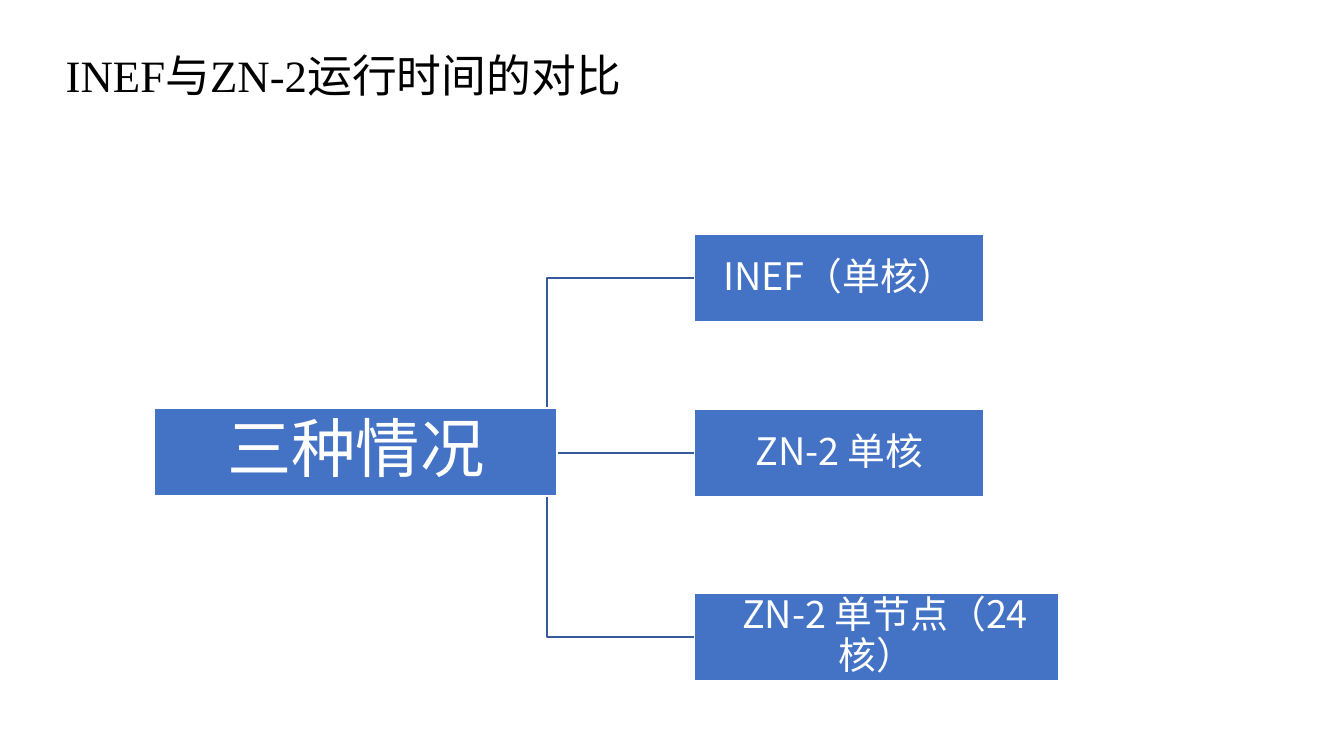
from lxml import etree
from pptx import Presentation
from pptx.dml.color import RGBColor
from pptx.enum import shapes, text
from pptx.oxml.ns import qn
from pptx.util import Cm, Pt

BLUE = RGBColor(0x44, 0x72, 0xC4)
DARK_BLUE = RGBColor(0x36, 0x5B, 0x9D)
WHITE = RGBColor(0xFF, 0xFF, 0xFF)
BLACK = RGBColor(0, 0, 0)
CJK_FONT = "Noto Sans CJK SC"

BOX_HEIGHT = 2.22
ROOT_LEFT, ROOT_TOP, ROOT_WIDTH = 3.89, 10.28, 10.15
BRANCH_LEFT = 17.51
TRUNK_START, TRUNK_TURN = 10.06, 13.79

# label, top, width, first-line indent (cm)
BRANCHES = [
    ("INEF（单核）", 5.9, 7.29, 0),
    ("ZN-2 单核", 10.31, 7.29, 0),
    ("ZN-2 单节点（24核）", 14.94, 9.17, 0.42),
]


def set_text(frame, wording, latin, size, color, frame_format, line_format):
    """Write one paragraph with Latin and East Asian fonts."""
    for name, value in frame_format.items():
        setattr(frame, name, value)
    line = frame.paragraphs[0]
    for name, value in line_format.items():
        setattr(line, name, value)
    run = line.add_run()
    run.text = wording
    for name, value in {"name": latin, "size": Pt(size), "bold": False}.items():
        setattr(run.font, name, value)
    run.font.color.rgb = color
    east_asian = etree.Element(qn("a:ea"), typeface=CJK_FONT)
    run.font._element.find(qn("a:latin")).addnext(east_asian)
    return line


def add_box(wording, left, top, width, size, inset):
    box = slide.shapes.add_shape(
        shapes.MSO_SHAPE.RECTANGLE, Cm(left), Cm(top), Cm(width), Cm(BOX_HEIGHT))
    box.shadow.inherit = False
    box.fill.solid()
    box.fill.fore_color.rgb = BLUE
    box.line.color.rgb = WHITE
    box.line.width = Pt(1)
    sides = ("margin_left", "margin_top", "margin_right", "margin_bottom")
    frame_format = dict.fromkeys(sides, Cm(inset))
    frame_format |= {"word_wrap": True, "vertical_anchor": text.MSO_ANCHOR.MIDDLE}
    line_format = {"alignment": text.PP_ALIGN.CENTER, "line_spacing": 0.9}
    return set_text(box.text_frame, wording, CJK_FONT, size, WHITE,
                    frame_format, line_format)


deck = Presentation()
deck.slide_width, deck.slide_height = Cm(33.87), Cm(19.05)
slide = deck.slides.add_slide(deck.slide_layouts.get_by_name("Title Only"))

heading = slide.shapes.title
for side, length in {"left": 1.4, "top": 1.07, "width": 14.63, "height": 1.63}.items():
    setattr(heading, side, Cm(length))
set_text(heading.text_frame, "INEF与ZN-2运行时间的对比", "Times New Roman", 32, BLACK,
         {"word_wrap": True, "auto_size": text.MSO_AUTO_SIZE.NONE,
          "vertical_anchor": text.MSO_ANCHOR.TOP},
         {"alignment": text.PP_ALIGN.LEFT})

# Branch lines start at the centre of the root box, behind it
root_middle = ROOT_TOP + BOX_HEIGHT / 2
for _, top, _, _ in BRANCHES:
    branch_middle = top + BOX_HEIGHT / 2
    outline = slide.shapes.build_freeform(Cm(TRUNK_START), Cm(root_middle))
    outline.add_line_segments(
        [(Cm(TRUNK_TURN), Cm(root_middle)),
         (Cm(TRUNK_TURN), Cm(branch_middle)),
         (Cm(BRANCH_LEFT), Cm(branch_middle))], close=False)
    branch_line = outline.convert_to_shape()
    branch_line.shadow.inherit = False
    branch_line.fill.background()
    branch_line.line.color.rgb = DARK_BLUE
    branch_line.line.width = Pt(1)

add_box("三种情况", ROOT_LEFT, ROOT_TOP, ROOT_WIDTH, 46, 0.08)
for label, top, width, indent in BRANCHES:
    label_line = add_box(label, BRANCH_LEFT, top, width, 27, 0.05)
    if indent:
        label_line._p.get_or_add_pPr().set("indent", str(Cm(indent)))

deck.save("out.pptx")
